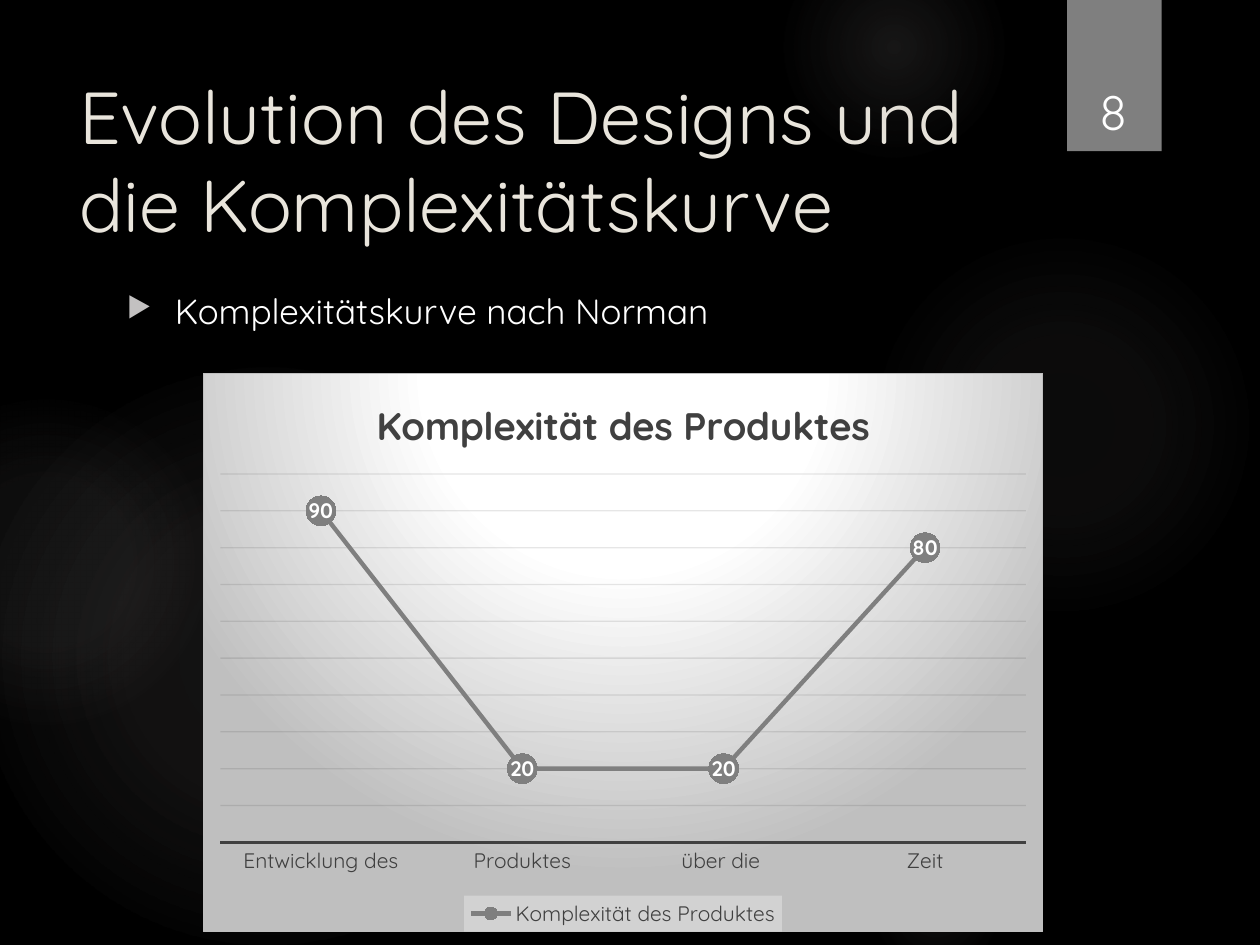
from pptx import Presentation
from pptx.chart.data import CategoryChartData
from pptx.dml.color import RGBColor
from pptx.enum import chart as ch, shapes, text
from pptx.oxml import parse_xml
from pptx.oxml.ns import nsdecls, qn
from pptx.util import Inches, Pt

THEME = {
    "font": "Quicksand",
    "bg": "000000", "glow": "A6A1A1", "tab": "7F7F7F", "title": "E9E5DC",
    "text": "FFFFFF", "bullet": "C3C1C1", "series": "7F7F7F", "dark": "404040",
    "grid": "0D0D0D", "edge": "BFBFBF", "legend": "F2F2F2",
    "sz_title": 42, "sz_body": 20, "sz_number": 28, "sz_chart_title": 22, "sz_label": 12,
}

# Content
TITLE = "Evolution des Designs und die Komplexitätskurve"
BULLET = "Komplexitätskurve nach Norman"
NUMBER = "8"
SERIES = "Komplexität des Produktes"
POINTS = [("Entwicklung des", 90), ("Produktes", 20), ("über die ", 20), ("Zeit", 80)]
# Background glows: left, top, diameter, (position %, opacity %) stops
GLOWS = [
    (6.89, 1.83, 3.08, [(0, 7), (36, 6), (69, 0)]),
    (6.22, -0.5, 1.75, [(0, 14), (36, 7), (73, 0)]),
    (6.89, 6.67, 1.08, [(0, 9), (36, 5), (66, 0)]),
    (-0.17, 2.92, 4.58, [(0, 11), (36, 10), (75, 0)]),
    (-0.92, 3.17, 2.58, [(0, 8), (36, 8), (72, 0)]),
]


def rgb(name):
    return RGBColor.from_string(THEME[name])


def style(font, size, color, bold=False):
    font.name, font.size, font.bold = THEME["font"], Pt(THEME[size]), bold
    font.color.rgb = rgb(color)


def radial(stops, top=50, bottom=50):
    """Circular gradient from (position %, colour, opacity %) stops."""
    gs = "".join(
        f'<a:gs pos="{pos * 1000}"><a:srgbClr val="{color}">'
        f'<a:alpha val="{alpha * 1000}"/></a:srgbClr></a:gs>' for pos, color, alpha in stops)
    return (f'<a:gradFill {nsdecls("a")} rotWithShape="1"><a:gsLst>{gs}</a:gsLst>'
            f'<a:path path="circle"><a:fillToRect l="50000" t="{top * 1000}" '
            f'r="50000" b="{bottom * 1000}"/></a:path></a:gradFill>')


def add_plain(slide, kind, box):
    sp = slide.shapes.add_shape(kind, *map(Inches, box))
    sp.shadow.inherit = False
    sp.line.fill.background()
    return sp


def write(sp, content, size, color, anchor, align=text.PP_ALIGN.LEFT):
    tf = sp.text_frame
    tf.word_wrap, tf.vertical_anchor, tf.text = True, anchor, content
    p = tf.paragraphs[0]
    p.alignment = align
    style(p.runs[0].font, size, color)
    return p


def add_background(slide):
    slide.background.fill.solid()
    slide.background.fill.fore_color.rgb = rgb("bg")
    for left, top, size, stops in GLOWS:
        sp = add_plain(slide, shapes.MSO_SHAPE.OVAL, (left, top, size, size))
        sp.fill.background()
        old = sp._element.spPr.find(qn("a:noFill"))
        new = radial([(pos, THEME["glow"], alpha) for pos, alpha in stops])
        old.getparent().replace(old, parse_xml(new))
    # Page number tab
    tab = add_plain(slide, shapes.MSO_SHAPE.RECTANGLE, (8.47, 0, 0.75, 1.2))
    tab.fill.solid()
    tab.fill.fore_color.rgb = rgb("tab")
    tab._element.spPr.find(qn("a:effectLst")).append(parse_xml(
        f'<a:outerShdw {nsdecls("a")} blurRad="{Pt(3)}" dist="{Pt(2)}" dir="5400000">'
        '<a:srgbClr val="000000"><a:alpha val="45000"/></a:srgbClr></a:outerShdw>'))


def add_texts(slide):
    title = slide.shapes.title
    title.left, title.top, title.width, title.height = map(Inches, (0.53, 0.5, 7.72, 1.53))
    write(title, TITLE, "sz_title", "title", text.MSO_ANCHOR.MIDDLE)

    body = slide.shapes.add_textbox(*map(Inches, (0.91, 2.25, 7.34, 0.6)))
    p = write(body, BULLET, "sz_body", "text", text.MSO_ANCHOR.TOP)
    p.space_before = Pt(10)
    pPr = p._p.get_or_add_pPr()
    pPr.set("marL", str(Inches(0.38)))
    pPr.set("indent", str(-Inches(0.38)))
    for xml in (f'<a:buClr {nsdecls("a")}><a:srgbClr val="{THEME["bullet"]}"/></a:buClr>',
                f'<a:buSzPct {nsdecls("a")} val="80000"/>',
                f'<a:buChar {nsdecls("a")} char="▶"/>'):
        pPr.append(parse_xml(xml))

    number = slide.shapes.add_textbox(*map(Inches, (8.49, 0.32, 0.69, 0.84)))
    write(number, NUMBER, "sz_number", "text", text.MSO_ANCHOR.BOTTOM, text.PP_ALIGN.CENTER)


def add_curve(slide):
    data = CategoryChartData()
    data.categories = [name for name, _ in POINTS]
    data.add_series(SERIES, [value for _, value in POINTS])
    chart = slide.shapes.add_chart(ch.XL_CHART_TYPE.LINE_MARKERS,
                                   *map(Inches, (1.61, 2.96, 6.67, 4.44)), data).chart
    style(chart.font, "sz_label", "dark")

    # Title and legend
    chart.has_title = True
    chart.chart_title.text_frame.text = SERIES
    style(chart.chart_title.text_frame.paragraphs[0].runs[0].font,
          "sz_chart_title", "dark", bold=True)
    chart.has_legend = True
    legend = chart.legend
    legend.position, legend.include_in_layout = ch.XL_LEGEND_POSITION.BOTTOM, False
    style(legend.font, "sz_label", "dark")
    legend._element.find(qn("c:txPr")).addprevious(parse_xml(
        f'<c:spPr {nsdecls("c", "a")}><a:solidFill><a:srgbClr val="{THEME["legend"]}">'
        '<a:alpha val="39000"/></a:srgbClr></a:solidFill></c:spPr>'))

    # Axes
    cat, val = chart.category_axis, chart.value_axis
    cat.major_tick_mark = cat.minor_tick_mark = ch.XL_TICK_MARK.NONE
    style(cat.tick_labels.font, "sz_label", "dark")
    cat.format.line.color.rgb, cat.format.line.width = rgb("dark"), Pt(1.5)
    val.minimum_scale, val.maximum_scale, val.major_unit = 0, 100, 10
    val.has_major_gridlines, val.visible = True, False
    grid = val.major_gridlines.format.line
    grid.color.rgb, grid.width = rgb("grid"), Pt(0.75)
    for clr in val.major_gridlines._xAx.find(qn("c:majorGridlines")).iter(qn("a:srgbClr")):
        clr.append(parse_xml(f'<a:alpha {nsdecls("a")} val="10000"/>'))

    # Series, markers and value labels
    plot = chart.plots[0]
    plot.vary_by_categories = False
    series = plot.series[0]
    series.smooth = False
    series.format.line.color.rgb, series.format.line.width = rgb("series"), Pt(2.5)
    marker = series.marker
    marker.style, marker.size = ch.XL_MARKER_STYLE.CIRCLE, 17
    marker.format.fill.solid()
    marker.format.fill.fore_color.rgb = rgb("series")
    marker.format.line.fill.background()
    labels = series.data_labels
    labels.show_value, labels.position = True, ch.XL_LABEL_POSITION.CENTER
    style(labels.font, "sz_label", "text", bold=True)

    # Plot position inside the chart, then the chart's own fill and border
    area = chart._chartSpace.chart.plotArea
    for old in area.findall(qn("c:layout")):
        area.remove(old)
    place = "".join(f'<c:{tag} val="{value}"/>' for tag, value in (
        ("layoutTarget", "inner"), ("xMode", "edge"), ("yMode", "edge"),
        ("x", 0.02), ("y", 0.18), ("w", 0.96), ("h", 0.66)))
    area.insert(0, parse_xml(
        f'<c:layout {nsdecls("c")}><c:manualLayout>{place}</c:manualLayout></c:layout>'))
    fill = radial([(0, "FFFFFF", 100), (39, "FFFFFF", 100), (100, THEME["edge"], 100)],
                  top=-80, bottom=180)
    chart._chartSpace.chart.addnext(parse_xml(
        f'<c:spPr {nsdecls("c", "a")}>{fill}<a:ln w="{Pt(0.75)}"><a:solidFill>'
        f'<a:srgbClr val="{THEME["edge"]}"/></a:solidFill></a:ln></c:spPr>'))


def main():
    prs = Presentation()
    prs.slide_width, prs.slide_height = Inches(10), Inches(7.5)
    slide = prs.slides.add_slide(prs.slide_layouts[5])
    add_background(slide)
    add_texts(slide)
    add_curve(slide)
    prs.save("out.pptx")


if __name__ == "__main__":
    main()
